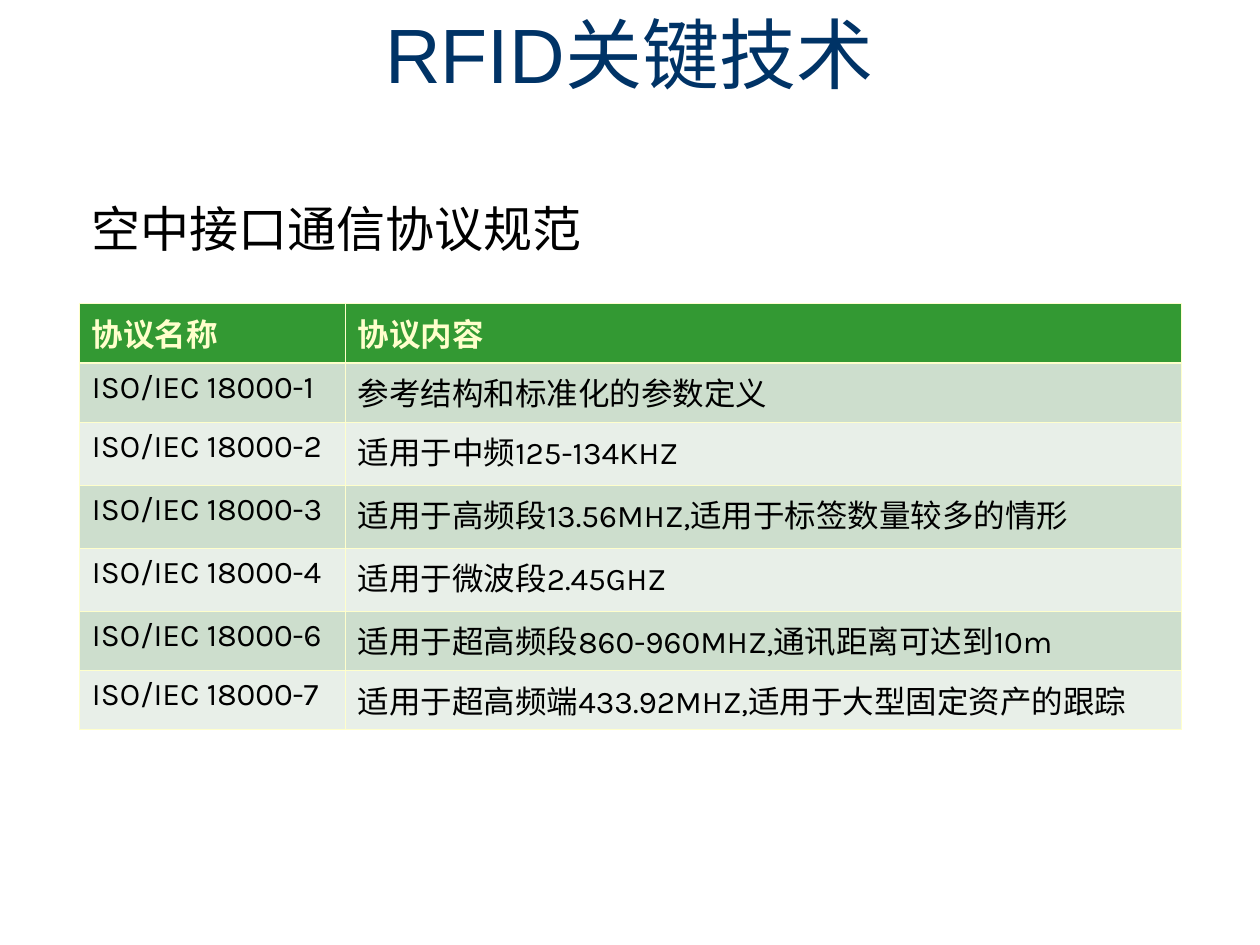
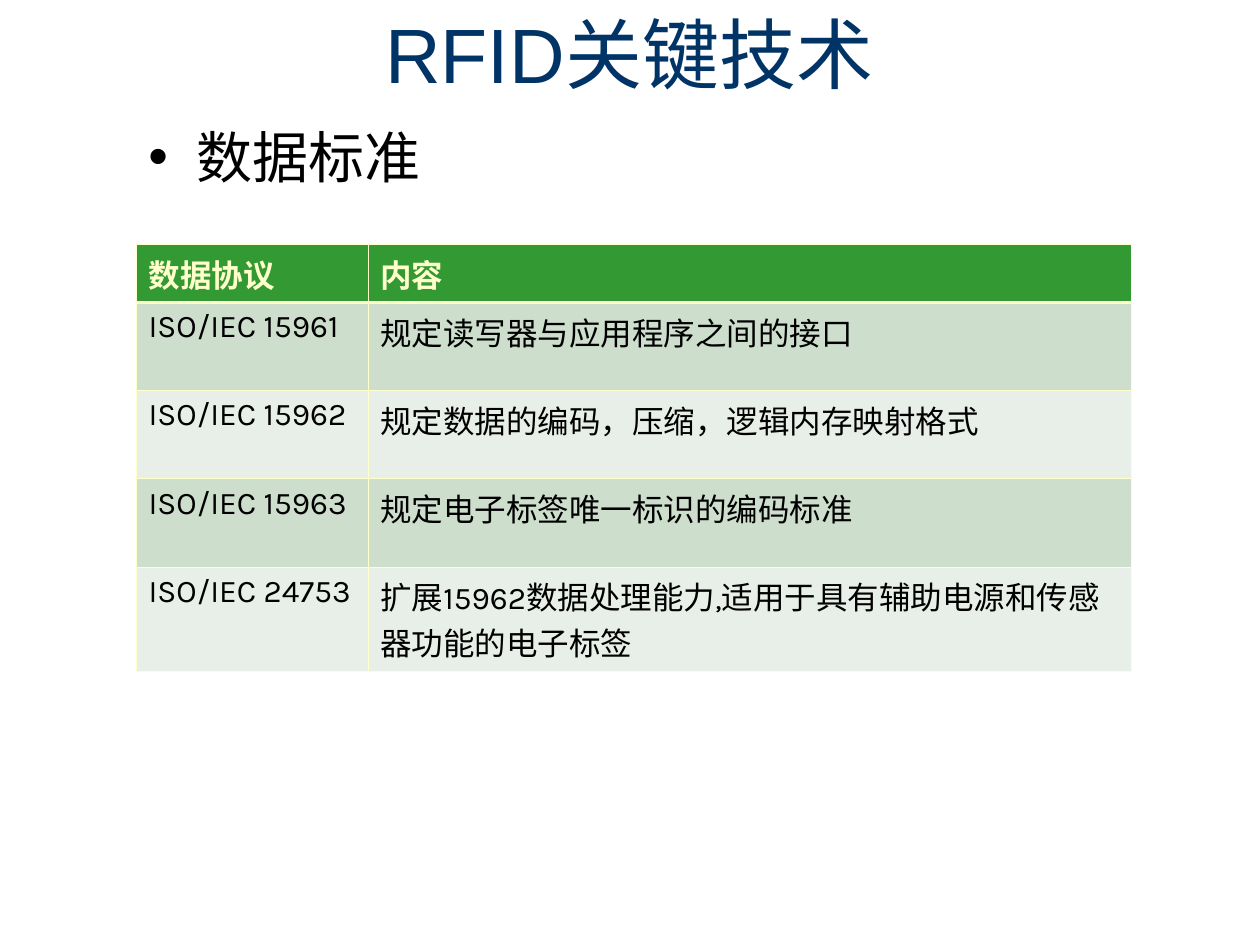
from dataclasses import dataclass

from lxml import etree
from pptx import Presentation
from pptx import util as u
from pptx.dml import color
from pptx.enum import lang, text
from pptx.oxml import ns

TITLE = "RFID关键技术"
SLIDES = [
    {
        "heading": "空中接口通信协议规范",
        "heading_area": (0.63, 1.53, 5.32, 0.57),
        "heading_font": "Noto Sans CJK SC",
        "heading_size": 28,
        "bullet": False,
        "table_corner": (0.63, 2.41),
        "columns": (2.11, 6.64),
        "heights": (0.47, 0.47, 0.5, 0.5, 0.5, 0.47, 0.47),
        "rows": [
            ("协议名称", "协议内容"),
            ("ISO/IEC 18000-1", "参考结构和标准化的参数定义"),
            ("ISO/IEC 18000-2", "适用于中频125-134KHZ"),
            ("ISO/IEC 18000-3", "适用于高频段13.56MHZ,适用于标签数量较多的情形"),
            ("ISO/IEC 18000-4", "适用于微波段2.45GHZ"),
            ("ISO/IEC 18000-6", "适用于超高频段860-960MHZ,通讯距离可达到10m"),
            ("ISO/IEC 18000-7", "适用于超高频端433.92MHZ,适用于大型固定资产的跟踪"),
        ],
    },
    {
        "heading": "数据标准",
        "heading_area": (1.08, 0.92, 8.75, 6.25),
        "heading_font": "Karla",
        "heading_size": 32,
        "bullet": True,
        "table_corner": (1.08, 1.94),
        "columns": (1.84, 6.06),
        "heights": (0.46, 0.7, 0.7, 0.7, 0.83),
        "rows": [
            ("数据协议", "内容"),
            ("ISO/IEC 15961", "规定读写器与应用程序之间的接口"),
            ("ISO/IEC 15962", "规定数据的编码，压缩，逻辑内存映射格式"),
            ("ISO/IEC 15963", "规定电子标签唯一标识的编码标准"),
            ("ISO/IEC 24753", "扩展15962数据处理能力,适用于具有辅助电源和传感器功能的电子标签"),
        ],
    },
]


@dataclass(frozen=True)
class Theme:
    title_color: str = "003366"
    ink: str = "000000"
    header_fill: str = "339933"
    header_ink: str = "FFFFCC"
    band_fills: tuple = ("E8EFE8", "CDDECD")
    rule: str = "FFFFCC"
    thin: float = 0.45
    thick: float = 1.47
    title_font: str = "Arial"
    table_font: str = "Karla"
    chinese_font: str = "Noto Sans CJK SC"
    title_size: int = 44
    table_size: int = 18


THEME = Theme()


def add_span(para, words, font, size, ink, bold=False):
    span = para.add_run()
    span.text = words
    span.font.name = font
    span.font.size = u.Pt(size)
    span.font.bold = bold
    span.font.color.rgb = color.RGBColor.from_string(ink)
    span.font.language_id = lang.MSO_LANGUAGE_ID.SIMPLIFIED_CHINESE
    latin = span.font._element.find(ns.qn("a:latin"))
    east_asian = etree.Element(ns.qn("a:ea"), typeface=THEME.chinese_font)
    latin.addnext(east_asian)


def add_bullet(para):
    properties = para._p.get_or_add_pPr()
    indent = u.Inches(0.38)
    properties.set("marL", str(indent))
    properties.set("indent", str(-indent))
    etree.SubElement(properties, ns.qn("a:buFont"), typeface="Arial")
    etree.SubElement(properties, ns.qn("a:buChar"), char="•")


def set_border(cell, side, width):
    properties = cell._tc.get_or_add_tcPr()
    line = etree.SubElement(properties, ns.qn(f"a:ln{side}"), w=str(u.Pt(width)))
    fill = etree.SubElement(line, ns.qn("a:solidFill"))
    etree.SubElement(fill, ns.qn("a:srgbClr"), val=THEME.rule)


def add_title(slide):
    box = slide.shapes.title
    box.left, box.top, box.width, box.height = map(u.Inches, (0.08, 0.08, 9.83, 0.67))
    frame = box.text_frame
    frame.auto_size = text.MSO_AUTO_SIZE.NONE
    frame.vertical_anchor = text.MSO_ANCHOR.MIDDLE
    para = frame.paragraphs[0]
    para.alignment = text.PP_ALIGN.CENTER
    add_span(para, TITLE, THEME.title_font, THEME.title_size, THEME.title_color)


def add_heading(slide, content):
    box = slide.shapes.add_textbox(*map(u.Inches, content["heading_area"]))
    box.text_frame.word_wrap = True
    para = box.text_frame.paragraphs[0]
    if content["bullet"]:
        add_bullet(para)
    add_span(para, content["heading"], content["heading_font"],
             content["heading_size"], THEME.ink)


def style_cell(cell, words, row):
    header = row == 0
    for side in "LRTB":
        heavy = (side == "B" and header) or (side == "T" and row == 1)
        set_border(cell, side, THEME.thick if heavy else THEME.thin)
    cell.fill.solid()
    fill = THEME.header_fill if header else THEME.band_fills[row % 2]
    cell.fill.fore_color.rgb = color.RGBColor.from_string(fill)
    ink = THEME.header_ink if header else THEME.ink
    add_span(cell.text_frame.paragraphs[0], words, THEME.table_font,
             THEME.table_size, ink, header)


def add_protocol_table(slide, content):
    rows, columns, heights = content["rows"], content["columns"], content["heights"]
    area = (*content["table_corner"], sum(columns), sum(heights))
    table = slide.shapes.add_table(len(rows), len(columns), *map(u.Inches, area)).table
    for column, width in zip(table.columns, columns):
        column.width = u.Inches(width)
    for row, height in zip(table.rows, heights):
        row.height = u.Inches(height)
    for row, values in enumerate(rows):
        for column, words in enumerate(values):
            style_cell(table.cell(row, column), words, row)


def main():
    deck = Presentation()
    deck.slide_width, deck.slide_height = u.Inches(10), u.Inches(7.5)
    for content in SLIDES:
        page = deck.slides.add_slide(deck.slide_layouts[5])
        add_title(page)
        add_heading(page, content)
        add_protocol_table(page, content)
    deck.save("out.pptx")


if __name__ == "__main__":
    main()
